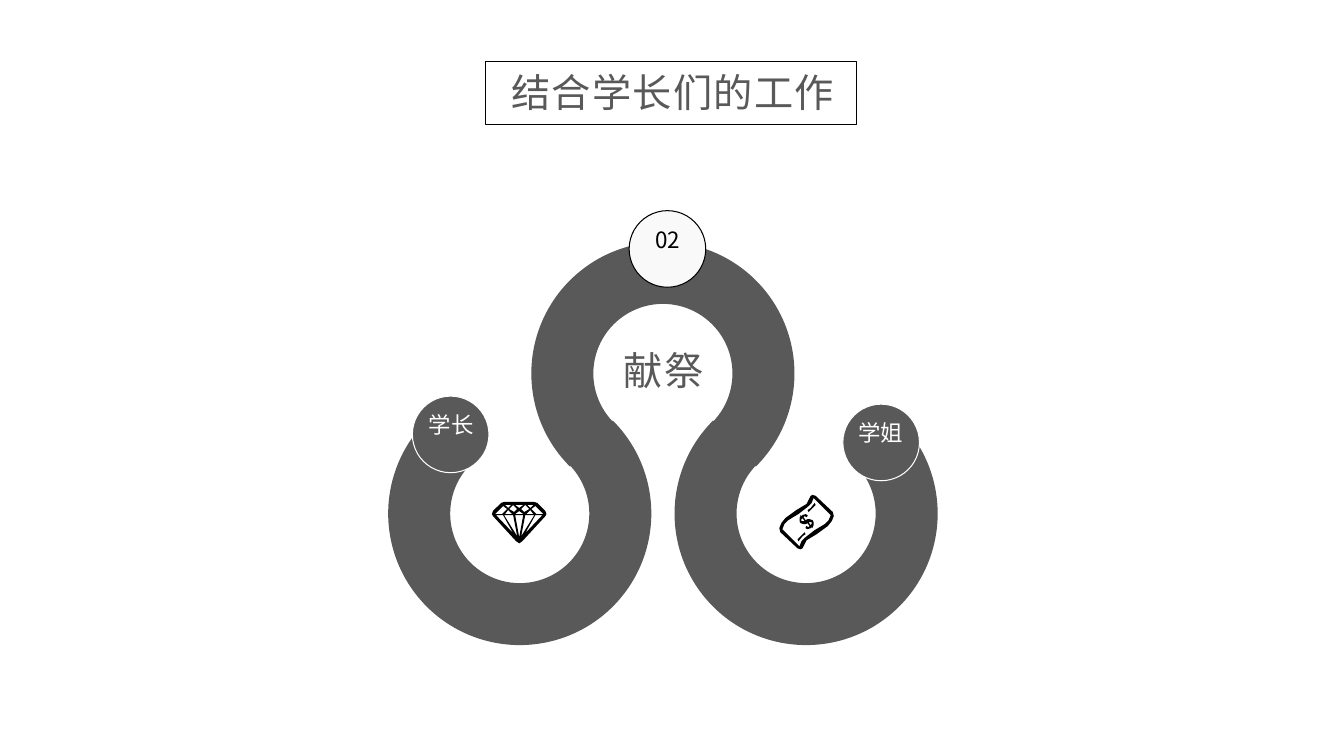
from pptx import Presentation
from pptx.dml.color import RGBColor
from pptx.enum.shapes import MSO_SHAPE
from pptx.enum.text import PP_ALIGN
from pptx.oxml.ns import qn
from pptx.util import Inches, Pt

COLORS = {"gray": "595959", "white": "FFFFFF", "pale": "F9F9F9", "black": "000000"}
FONT = "Noto Sans CJK SC"

presentation = Presentation()
presentation.slide_width, presentation.slide_height = Inches(13.33), Inches(7.5)
slide = presentation.slides.add_slide(presentation.slide_layouts[6])


def paint(shape, fill=None, line=None, width=0.75):
    shape.shadow.inherit = False
    for part, color in ((shape.fill, fill), (shape.line.fill, line)):
        if color:
            part.solid()
            part.fore_color.rgb = RGBColor.from_string(COLORS[color])
        else:
            part.background()
    if line:
        shape.line.width = Pt(width)


def draw_outline(contours):
    points = [[(Inches(x), Inches(y)) for x, y in contour] for contour in contours]
    builder = slide.shapes.build_freeform(*points[0][0])
    builder.add_line_segments(points[0][1:])
    for contour in points[1:]:
        builder.move_to(*contour[0])
        builder.add_line_segments(contour[1:])
    paint(builder.convert_to_shape(), "black")


title_frame = slide.shapes.add_shape(
    MSO_SHAPE.RECTANGLE, Inches(4.81), Inches(0.61), Inches(3.68), Inches(0.62))
paint(title_frame, line="black", width=0.25)

ring_size, band = 2.61, 0.615
for left, top, start, end in ((6.69, 3.79, 315, 225), (5.27, 2.4, 135, 45), (3.85, 3.79, 315, 225)):
    ring = slide.shapes.add_shape(
        MSO_SHAPE.BLOCK_ARC, Inches(left), Inches(top), Inches(ring_size), Inches(ring_size))
    for index, value in enumerate((start * 0.6, end * 0.6, band / ring_size)):
        ring.adjustments[index] = value
    paint(ring, "gray")

bill_edge = [(8.26, 5.08), (8.09, 4.92), (8.06, 4.91), (8.04, 4.92), (8.03, 4.94), (8, 5),
             (7.9, 5.06), (7.79, 5.14), (7.75, 5.19), (7.73, 5.24)]
bill_inside = [(7.76, 5.25), (7.78, 5.2), (7.82, 5.16), (7.92, 5.1), (8.01, 5.03), (8.05, 4.99), (8.07, 4.94)]
dollar_edge = [(8.06, 5.16), (8.03, 5.15), (8.01, 5.15), (7.99, 5.16), (7.97, 5.13), (7.98, 5.12),
               (8, 5.13), (8.01, 5.12), (8.01, 5.11), (7.99, 5.1), (7.96, 5.11), (7.95, 5.12),
               (7.94, 5.11), (7.94, 5.12), (7.93, 5.14), (7.93, 5.17)]
dollar_hole = [(7.97, 5.17), (7.95, 5.17), (7.95, 5.15), (7.96, 5.14), (7.98, 5.17)]
bill_mark = [(7.98, 5.28), (7.95, 5.31), (7.91, 5.35), (7.92, 5.37), (7.96, 5.32), (7.99, 5.3)]


def half_turn(points, center_y=5.18):
    return [(16 - x, 2 * center_y - y) for x, y in points]


draw_outline([bill_edge + half_turn(bill_edge), bill_inside + half_turn(bill_inside)])
draw_outline([dollar_edge + half_turn(dollar_edge, 5.175), dollar_hole, half_turn(dollar_hole, 5.175)])
for mark in (bill_mark, half_turn(bill_mark)):
    draw_outline([mark])

diamond_axis = 5.15
diamond_edge = [(5, 4.98), (4.97, 4.99), (4.89, 5.07), (4.88, 5.1), (4.89, 5.12), (5.12, 5.37), (5.15, 5.39)]
center_facets = [
    [(5.19, 5.1), (5.11, 5.1), (5.15, 5.07)],
    [(5.19, 5.11), (5.15, 5.33), (5.11, 5.11)],
    [(5.15, 5.04), (5.11, 5.01), (5.19, 5.01)],
]
left_facets = [
    [(5.1, 5.08), (5.05, 5.05), (5.09, 5.01), (5.13, 5.05)],
    [(5.04, 5.04), (5.01, 5.01), (5.07, 5.01)],
    [(5.04, 5.06), (5.08, 5.1), (5.01, 5.1)],
    [(5.09, 5.11), (5.13, 5.32), (5, 5.11)],
    [(5.09, 5.29), (4.92, 5.11), (4.99, 5.11)],
    [(4.99, 5.02), (5.03, 5.05), (4.98, 5.1), (4.91, 5.1)],
]
right_edge, *right_facets = [
    [(2 * diamond_axis - x, y) for x, y in contour] for contour in [diamond_edge] + left_facets]
draw_outline([diamond_edge + right_edge[-2::-1]] + center_facets + left_facets + right_facets)

badge_size = 0.76
for left, top, fill, line in ((4.09, 3.93, "gray", "white"), (6.24, 2.09, "pale", "black"),
                              (8.36, 4.01, "gray", "white")):
    badge = slide.shapes.add_shape(
        MSO_SHAPE.OVAL, Inches(left), Inches(top), Inches(badge_size), Inches(badge_size))
    paint(badge, fill, line)

heading = {"size": 28, "color": "gray", "line_spacing": 0.9, "spacing": "100"}
label = {"size": 16, "color": "white", "line_spacing": 1.0, "spacing": "0"}
texts = [
    ("结合学长们的工作", 4.81, 0.68, 3.72, 0.52, heading),
    ("学长", 4.01, 4.03, 0.93, 0.37, label),
    ("02", 6.16, 2.19, 0.93, 0.39, {**label, "color": "black"}),
    ("学姐", 8.27, 4.11, 0.93, 0.37, label),
    ("献祭", 5.98, 3.44, 1.2, 0.52, heading),
]
for text, left, top, width, height, style in texts:
    box = slide.shapes.add_textbox(Inches(left), Inches(top), Inches(width), Inches(height))
    box.text_frame.word_wrap = True
    paragraph = box.text_frame.paragraphs[0]
    paragraph.alignment = PP_ALIGN.CENTER
    paragraph.line_spacing = style["line_spacing"]
    run = paragraph.add_run()
    run.text = text
    for name, value in {"name": FONT, "size": Pt(style["size"])}.items():
        setattr(run.font, name, value)
    run.font.color.rgb = RGBColor.from_string(COLORS[style["color"]])
    properties = run.font._element
    properties.set("spc", style["spacing"])
    east_asian = properties.makeelement(qn("a:ea"), {"typeface": FONT})
    properties.find(qn("a:latin")).addnext(east_asian)

presentation.save("out.pptx")
